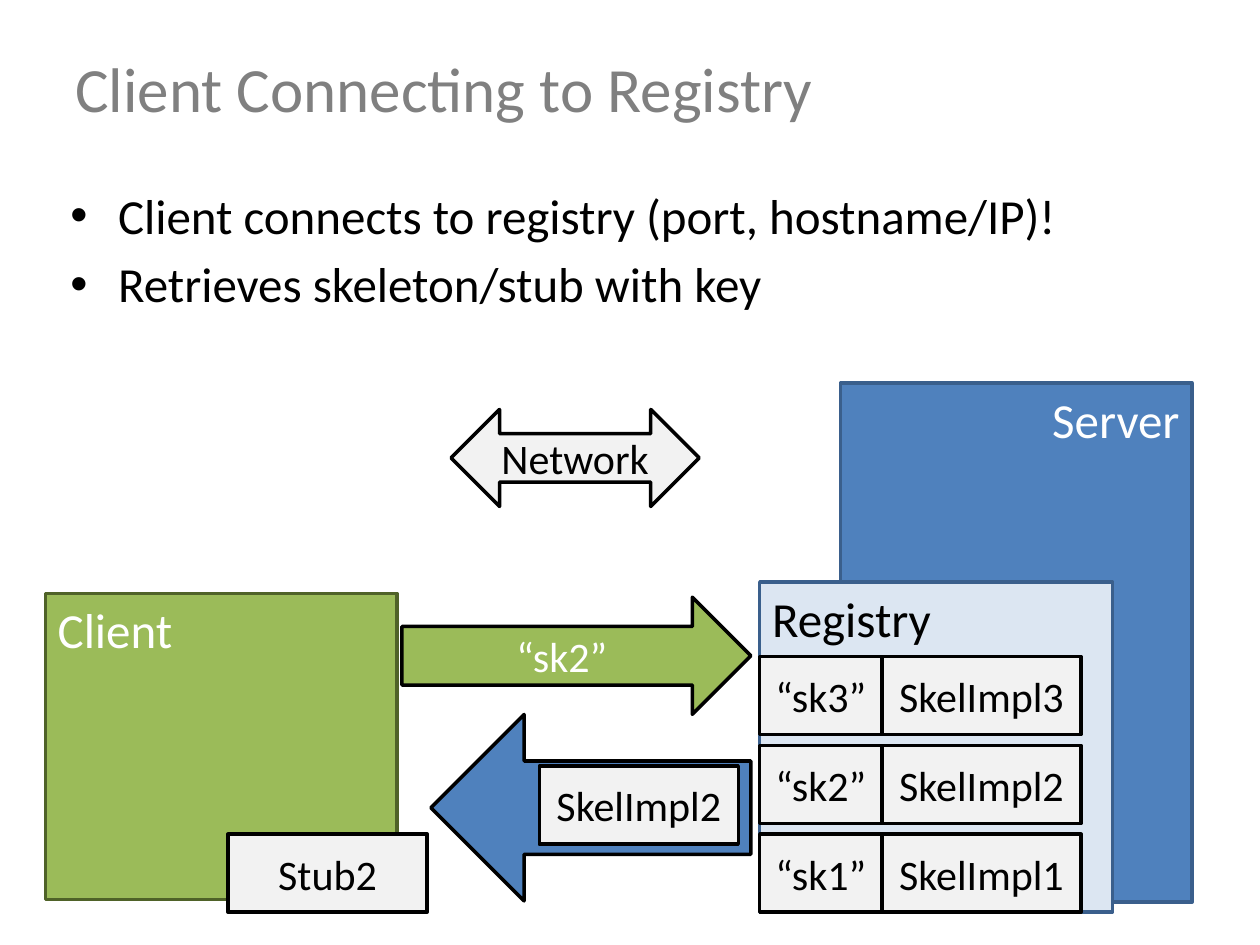
from lxml import etree
from pptx import Presentation
from pptx.dml.color import RGBColor
from pptx.enum.shapes import MSO_SHAPE
from pptx.enum.text import MSO_ANCHOR, PP_ALIGN
from pptx.oxml.ns import qn
from pptx.util import Inches, Pt

RECT = MSO_SHAPE.RECTANGLE
RIGHT_ARROW = MSO_SHAPE.RIGHT_ARROW
LEFT_ARROW = MSO_SHAPE.LEFT_ARROW
TWO_WAY_ARROW = MSO_SHAPE.LEFT_RIGHT_ARROW
TOP, MIDDLE = MSO_ANCHOR.TOP, MSO_ANCHOR.MIDDLE
LEFT, CENTER, RIGHT = PP_ALIGN.LEFT, PP_ALIGN.CENTER, PP_ALIGN.RIGHT

COLORS = {
    "server": "4F81BD", "server_edge": "3A5F8C", "registry": "DCE6F2",
    "client": "9BBB59", "client_edge": "4F6228", "entry": "F2F2F2",
    "title": "808080", "black": "000000", "white": "FFFFFF",
}

prs = Presentation()
prs.slide_width, prs.slide_height = Inches(10), Inches(7.5)
slide = prs.slides.add_slide(prs.slide_layouts[6])

# The slide is a grid of 100 columns and 75 rows
COL, ROW = prs.slide_width / 100, prs.slide_height / 75


def write(holder, *lines, size=24, color="black", align=CENTER, anchor=MIDDLE, bullet=None):
    frame = holder.text_frame
    frame.word_wrap = True
    frame.vertical_anchor = anchor
    for number, line in enumerate(lines):
        paragraph = frame.add_paragraph() if number else frame.paragraphs[0]
        paragraph.alignment = align
        run = paragraph.add_run()
        run.text = line
        run.font.name = "Calibri"
        run.font.size = Pt(size)
        run.font.color.rgb = RGBColor.from_string(COLORS[color])
        if bullet:
            paragraph.space_before = Pt(size * 0.2)
            props = paragraph._p.get_or_add_pPr()
            props.set("marL", str(Inches(0.38)))
            props.set("indent", str(-Inches(0.38)))
            etree.SubElement(props, qn("a:buFont")).set("typeface", "Arial")
            etree.SubElement(props, qn("a:buChar")).set("char", bullet)


def block(kind, col, row, cols, rows, fill="entry", edge="black"):
    """Add a filled, outlined shape placed in grid units."""
    shape = slide.shapes.add_shape(
        kind, int(col * COL), int(row * ROW), int(cols * COL), int(rows * ROW))
    shape.shadow.inherit = False
    shape.fill.solid()
    shape.fill.fore_color.rgb = RGBColor.from_string(COLORS[fill])
    shape.line.color.rgb = RGBColor.from_string(COLORS[edge])
    shape.line.width = Pt(2)
    return shape


# Server with its registry
server = block(RECT, 66.7, 30.4, 27.9, 41.2, "server", "server_edge")
write(server, "Server", size=28, color="white", align=RIGHT, anchor=TOP)
registry = block(RECT, 60.3, 46.2, 28, 26.2, "registry", "server_edge")
write(registry, "Registry", size=28, align=LEFT, anchor=TOP)

# Title and bullets
title = slide.shapes.add_textbox(int(5 * COL), int(3 * ROW), int(90 * COL), int(7.8 * ROW))
write(title, "Client Connecting to Registry", size=36, color="title", align=LEFT)
steps = slide.shapes.add_textbox(int(4.6 * COL), int(14.2 * ROW), int(90 * COL), int(17.5 * ROW))
write(steps, "Client connects to registry (port, hostname/IP)!",
      "Retrieves skeleton/stub with key", size=28, align=LEFT, anchor=TOP, bullet="•")

# Client and network
client = block(RECT, 3.6, 47.1, 27.9, 24.3, "client", "client_edge")
write(client, "Client", size=28, color="white", align=LEFT, anchor=TOP)
network = block(TWO_WAY_ARROW, 35.8, 32.5, 19.7, 7.7)
write(network, "Network")

# Registry entries, stacked upwards from sk1
KEY_COLS, IMPL_COLS, ENTRY_ROWS, ENTRY_STEP = 9.7, 15.8, 6.2, 7.05
BOTTOM_ENTRY = 66.2
for number in (1, 2, 3):
    row = BOTTOM_ENTRY - (number - 1) * ENTRY_STEP
    write(block(RECT, 60.3, row, KEY_COLS, ENTRY_ROWS), f"“sk{number}”")
    write(block(RECT, 70, row, IMPL_COLS, ENTRY_ROWS), f"SkelImpl{number}")

# Lookup by key and the returned skeleton
request = block(RIGHT_ARROW, 31.9, 47.4, 27.7, 9.3, "client")
write(request, "“sk2”", color="white")
block(LEFT_ARROW, 34.2, 56.7, 25.4, 14.8, "server")
write(block(RECT, 42.8, 60.8, IMPL_COLS, ENTRY_ROWS), "SkelImpl2")
write(block(RECT, 18.1, BOTTOM_ENTRY, IMPL_COLS, ENTRY_ROWS), "Stub2")

prs.save("out.pptx")
